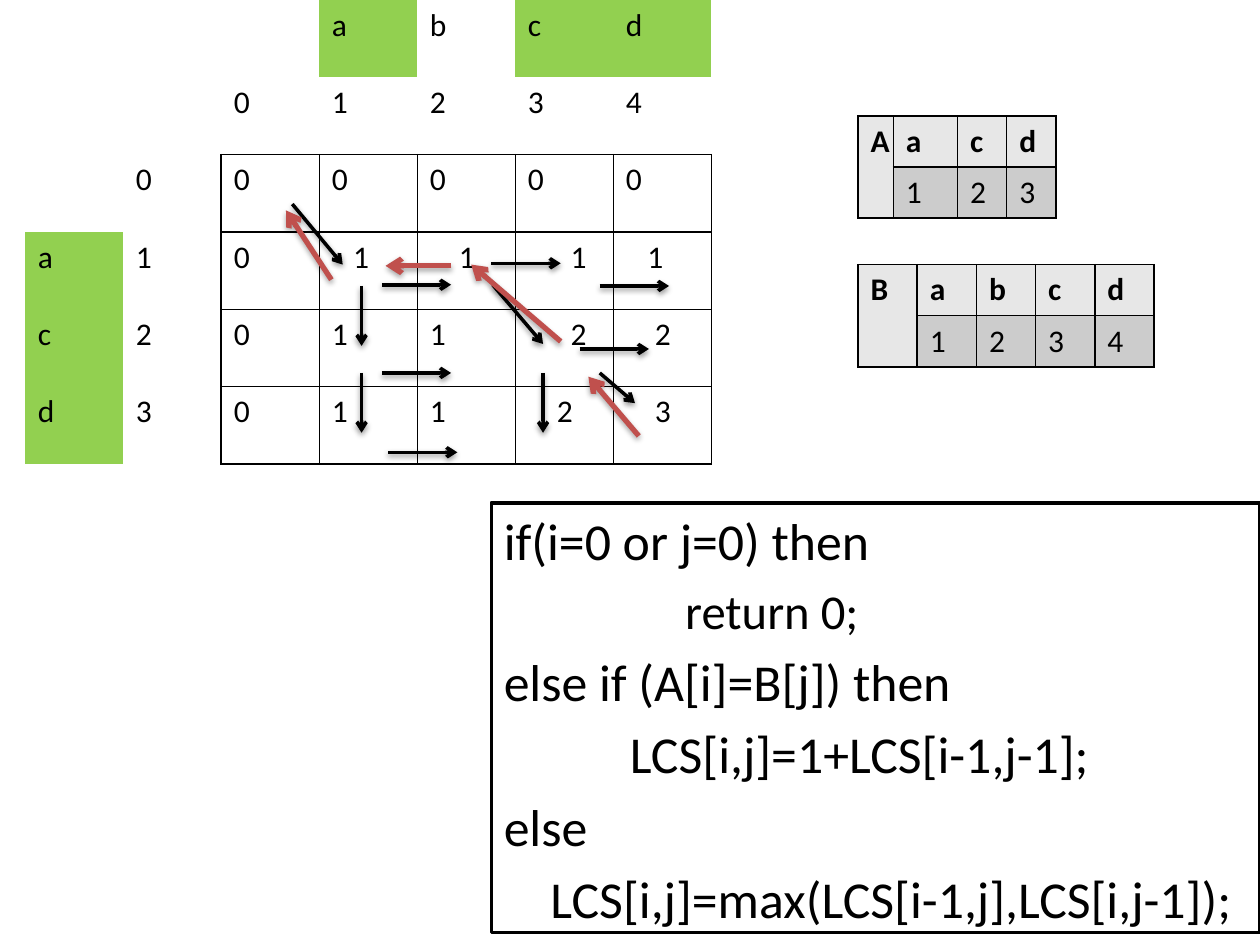
import pptx
import pptx.dml.color
import pptx.enum.shapes
import pptx.enum.text
import pptx.oxml
import pptx.oxml.ns
import pptx.util

RGBColor = pptx.dml.color.RGBColor
BLACK = RGBColor(0x00, 0x00, 0x00)
WHITE = RGBColor(0xFF, 0xFF, 0xFF)
GREEN = RGBColor(0x92, 0xD0, 0x50)
RED = RGBColor(0xC0, 0x50, 0x4D)
LIGHT_GREY = RGBColor(0xE7, 0xE7, 0xE7)
MID_GREY = RGBColor(0xCC, 0xCC, 0xCC)

GRID_COLUMNS = 100  # square grid: 100 columns by 75 rows
SIDES = {"L": (0, -1), "R": (0, 1), "T": (-1, 0), "B": (1, 0)}

LCS_ROWS = [
    ["", "", "", "a", "b", "c", "d"],
    ["", "", "0", "1", "2", "3", "4"],
    ["", "0", "0", "0", "0", "0", "0"],
    ["a", "1", "0", "1", "1", "1", "1"],
    ["c", "2", "0", "1", "1", "2", "2"],
    ["d", "3", "0", "1", "1", "2", "3"],
]
MATCHED = {(0, 3), (0, 5), (0, 6), (3, 0), (4, 0), (5, 0)}
VALUE_INDENTS = {(3, 3): 1.7, (3, 4): 2.3, (3, 5): 3.4, (3, 6): 1.7,
                 (4, 5): 3.4, (4, 6): 2.3, (5, 5): 2.3, (5, 6): 2.3}

# text, indent in grid columns, size in points
PSEUDOCODE = [
    ("if(i=0 or j=0) then", 0, 29.6),
    ("return 0;", 14.4, 27.8),
    ("else if (A[i]=B[j]) then", 0, 29.6),
    ("LCS[i,j]=1+LCS[i-1,j-1];", 10, 29.6),
    ("else", 0, 29.6),
    ("LCS[i,j]=max(LCS[i-1,j],LCS[i,j-1]);", 3.7, 29.6),
]

RIGHT_STEP, DOWN_STEP = (5.5, 0), (0, 4.75)
# start of the arrow, then its step
FILL_ARROWS = [
    ((23.2, 16.2), (4, 4.8)),
    ((30.3, 22.6), RIGHT_STEP),
    ((39, 20.9), RIGHT_STEP),
    ((47.6, 22.7), RIGHT_STEP),
    ((28.7, 22.7), DOWN_STEP),
    ((30.3, 29.6), RIGHT_STEP),
    ((39.1, 22.6), (4, 4.7)),
    ((46, 27.7), RIGHT_STEP),
    ((30.8, 35.9), RIGHT_STEP),
    ((28.7, 29.6), DOWN_STEP),
    ((43.1, 29.6), DOWN_STEP),
    ((47.6, 29.6), (2.8, 2.4)),
]
TRACEBACK_ARROWS = [
    ((50.7, 34.6), (-4, -4.7)),
    ((44.5, 27.1), (-7.1, -6.1)),
    ((35.8, 21.1), (-5.2, 0)),
    ((26.3, 22.2), (-3.6, -5.5)),
]


def write(paragraph, text, size=18, bold=False, color=BLACK, font="Calibri"):
    run = paragraph.add_run()
    run.text = text
    run.font.size = pptx.util.Pt(size)
    run.font.bold = bold
    run.font.color.rgb = color
    run.font.name = font


def parse_drawing(tag, attributes, content):
    return pptx.oxml.parse_xml(
        f'<a:{tag} {pptx.oxml.ns.nsdecls("a")} {attributes}>{content}</a:{tag}>')


class SlideBuilder:
    def __init__(self, presentation):
        self.unit = presentation.slide_width / GRID_COLUMNS
        self.slide = presentation.slides.add_slide(presentation.slide_layouts[6])
        self.margin = self.grid(1)

    def grid(self, units):
        return pptx.util.Emu(round(units * self.unit))

    def table(self, left, top, widths, row_height, rows, fill_of,
              is_ruled=lambda row, column: True, bold_rows=(), indents=None):
        """Add a table; an edge is drawn where a cell on either side is ruled."""
        height = row_height * len(rows)
        table = self.slide.shapes.add_table(
            len(rows), len(widths), *map(self.grid, (left, top, sum(widths), height))).table
        table.first_row = table.horz_banding = False
        for column, width in enumerate(widths):
            table.columns[column].width = self.grid(width)
        for row, texts in enumerate(rows):
            table.rows[row].height = self.grid(row_height)
            for column, text in enumerate(texts):
                cell = table.cell(row, column)
                indent = (indents or {}).get((row, column), 0)
                cell.margin_left = self.margin + self.grid(indent)
                for side, (down, across) in SIDES.items():
                    ruled = (is_ruled(row, column)
                             or is_ruled(row + down, column + across))
                    self.border(cell, side, ruled)
                cell.fill.solid()
                cell.fill.fore_color.rgb = fill_of(row, column)
                if text:
                    write(cell.text_frame.paragraphs[0], text, bold=row in bold_rows)
        return table

    def border(self, cell, side, ruled):
        paint = (f'<a:solidFill><a:srgbClr val="{BLACK}"/></a:solidFill>'
                 if ruled else "<a:noFill/>")
        width = pptx.util.Pt(1)
        cell_format = cell._tc.get_or_add_tcPr()
        cell_format.append(parse_drawing(f"ln{side}", f'w="{int(width)}"', paint))

    def sequence(self, top, widths, name, letters):
        """Add a lettered sequence with its positions below."""
        positions = [str(number) for number in range(1, len(letters) + 1)]
        table = self.table(
            68.1, top, widths, 4.05, [[name, *letters], ["", *positions]],
            lambda row, column: MID_GREY if row and column else LIGHT_GREY,
            bold_rows=(0,))
        table.cell(0, 0).merge(table.cell(1, 0))

    def code_box(self, left, top, width, height, lines):
        box = self.slide.shapes.add_shape(
            pptx.enum.shapes.MSO_SHAPE.RECTANGLE,
            *map(self.grid, (left, top, width, height)))
        box.shadow.inherit = False
        box.fill.solid()
        box.fill.fore_color.rgb = WHITE
        box.line.color.rgb = BLACK
        box.line.width = pptx.util.Pt(2)
        frame = box.text_frame
        frame.word_wrap = True
        frame.vertical_anchor = pptx.enum.text.MSO_ANCHOR.TOP
        for number, (text, indent, size) in enumerate(lines):
            paragraph = frame.add_paragraph() if number else frame.paragraphs[0]
            paragraph.alignment = pptx.enum.text.PP_ALIGN.LEFT
            paragraph.space_before = pptx.util.Pt(round(size * 0.2, 1))
            paragraph._p.get_or_add_pPr().set("marL", str(int(self.grid(indent))))
            write(paragraph, text, size=size)

    def arrow(self, start, step, color, width, opacity):
        end = [origin + move for origin, move in zip(start, step)]
        arrow = self.slide.shapes.add_connector(
            pptx.enum.shapes.MSO_CONNECTOR.STRAIGHT, *map(self.grid, (*start, *end)))
        arrow.line.color.rgb = color
        arrow.line.width = pptx.util.Pt(width)
        arrow.line._get_or_add_ln().append(parse_drawing("tailEnd", 'type="arrow"', ""))
        arrow._element.spPr.append(parse_drawing(
            "effectLst", "",
            '<a:outerShdw blurRad="40000" dist="20000" dir="5400000" rotWithShape="0">'
            f'<a:srgbClr val="{BLACK}"><a:alpha val="{opacity * 1000}"/></a:srgbClr>'
            "</a:outerShdw>"))


def main():
    presentation = pptx.Presentation()
    presentation.slide_width = pptx.util.Inches(10)
    presentation.slide_height = pptx.util.Inches(7.5)
    builder = SlideBuilder(presentation)

    builder.table(
        2, 0, [7.78] * 7, 6.14, LCS_ROWS,
        lambda row, column: GREEN if (row, column) in MATCHED else WHITE,
        is_ruled=lambda row, column: 2 <= row <= 5 and 2 <= column <= 6,
        indents=VALUE_INDENTS)
    builder.code_box(39, 39.9, 61, 34.1, PSEUDOCODE)
    builder.sequence(9.2, [2.8, 5.1, 3.9, 3.9], "A", "acd")
    builder.sequence(21, [4.7] * 5, "B", "abcd")
    for start, step in FILL_ARROWS:
        builder.arrow(start, step, BLACK, width=2, opacity=38)
    for start, step in TRACEBACK_ARROWS:
        builder.arrow(start, step, RED, width=3, opacity=35)

    presentation.save("out.pptx")


if __name__ == "__main__":
    main()
